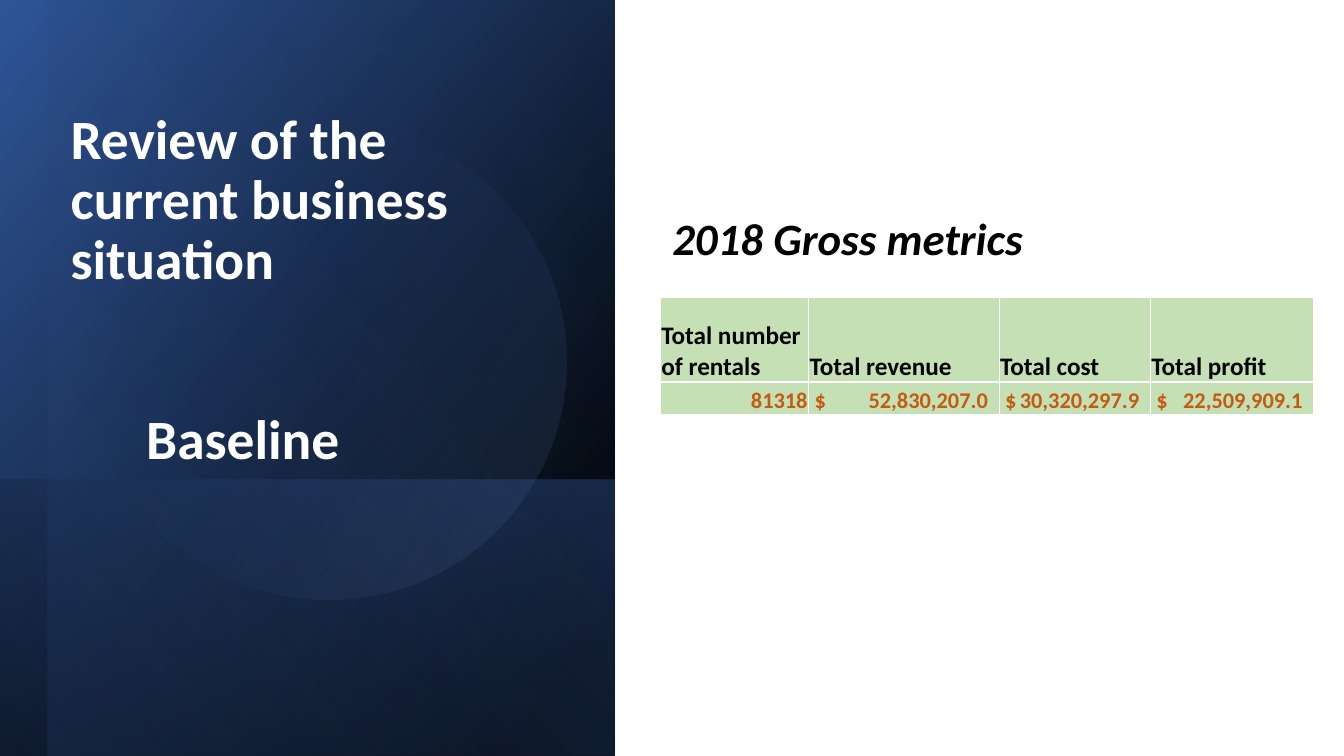
import pptx
import pptx.dml.color
import pptx.enum.shapes
import pptx.enum.text
import pptx.oxml
import pptx.oxml.ns
import pptx.util
from pptx.util import Inches

COLORS = {
    "black": "000000", "white": "FFFFFF", "navy": "2F5597", "blue": "4472C4",
    "pale_blue": "8FAADC", "green": "C5E0B4", "orange": "C55A11",
}
FONT = "Calibri"
NAMESPACE = pptx.oxml.ns.nsdecls("a")
SHAPES = pptx.enum.shapes.MSO_SHAPE
ANCHOR = pptx.enum.text.MSO_ANCHOR
ALIGN = pptx.enum.text.PP_ALIGN

# Left, top, width, height, rotation, shape, gradient angle, stops (position, colour, opacity)
PANEL_LAYERS = [
    (-0.7, 0.7, 7.5, 6.1, 90, SHAPES.RECTANGLE, 50, [(8, "black", 100), (100, "navy", 100)]),
    (1.67, 3.08, 2.74, 6.1, 90, SHAPES.RECTANGLE, 130, [(2, "blue", 29), (100, "black", 30)]),
    (-0.46, 0.93, 7.5, 5.63, 90, SHAPES.RECTANGLE, 130, [(0, "black", 0), (99, "blue", 11)]),
    (0.9, 1.23, 4.72, 4.72, 101.6, SHAPES.OVAL, 290, [(39, "blue", 0), (100, "pale_blue", 15)]),
]

# Heading, value, column width
METRICS = [
    ("Total number of rentals", "81318", 1.47),
    ("Total revenue", "$\t52,830,207.0", 1.89),
    ("Total cost", "$\t30,320,297.9", 1.5),
    ("Total profit", "$\t22,509,909.1", 1.62),
]
ROW_HEIGHTS = [0.84, 0.32]
CURRENCY_INSET = 0.06


def write_text(paragraph, text, size, color="black", bold=True, italic=False,
               align=ALIGN.LEFT, line_spacing=1.0, space_before=0):
    paragraph.alignment = align
    paragraph.line_spacing = line_spacing
    paragraph.space_before = pptx.util.Pt(space_before)
    run = paragraph.add_run()
    run.text = text
    run.font.name = FONT
    run.font.size = pptx.util.Pt(size)
    run.font.bold = bold
    run.font.italic = italic
    run.font.color.rgb = pptx.dml.color.RGBColor.from_string(COLORS[color])


def set_frame(frame, anchor, top=0.05, bottom=0.05):
    frame.word_wrap = True
    frame.auto_size = pptx.enum.text.MSO_AUTO_SIZE.NONE
    frame.vertical_anchor = anchor
    frame.margin_left = frame.margin_right = Inches(0.1)
    frame.margin_top, frame.margin_bottom = Inches(top), Inches(bottom)


def gradient_xml(angle, stops):
    stop_xml = "".join(
        f'<a:gs pos="{position * 1000}"><a:srgbClr val="{COLORS[color]}">'
        f'<a:alpha val="{opacity * 1000}"/></a:srgbClr></a:gs>'
        for position, color, opacity in stops)
    return (f'<a:gradFill {NAMESPACE} rotWithShape="1"><a:gsLst>{stop_xml}</a:gsLst>'
            f'<a:lin ang="{angle * 60000}" scaled="0"/></a:gradFill>')


def add_panel_layer(slide, left, top, width, height, rotation, kind, angle, stops):
    shape = slide.shapes.add_shape(
        kind, Inches(left), Inches(top), Inches(width), Inches(height))
    shape.shadow.inherit = False
    shape.line.fill.background()
    shape.rotation = rotation
    properties = shape._element.spPr
    if kind == SHAPES.RECTANGLE:
        properties.find(pptx.oxml.ns.qn("a:xfrm")).set("flipH", "1")
    geometry = properties.find(pptx.oxml.ns.qn("a:prstGeom"))
    geometry.addnext(pptx.oxml.parse_xml(gradient_xml(angle, stops)))


def add_title(slide):
    title = slide.shapes.title
    title.left, title.top = Inches(0.6), Inches(1.63)
    title.width, title.height = Inches(4.97), Inches(3.7)
    slide.shapes._spTree.append(title._element)  # in front of the panel
    frame = title.text_frame
    set_frame(frame, ANCHOR.BOTTOM, bottom=0.65)
    style = {"size": 39.6, "color": "white", "line_spacing": 0.9}
    write_text(frame.paragraphs[0], "Review of the current business situation", **style)
    baseline = frame.add_paragraph()
    write_text(baseline, "Baseline", space_before=86, **style)
    properties = baseline._p.get_or_add_pPr()
    properties.set("marL", str(Inches(0.75)))
    properties.set("indent", "0")


def add_subtitle(slide):
    box = slide.shapes.add_textbox(Inches(6.57), Inches(0.71), Inches(6.6), Inches(6.07))
    set_frame(box.text_frame, ANCHOR.TOP, top=1.44)
    write_text(box.text_frame.paragraphs[0], "2018 Gross metrics", 32,
               italic=True, line_spacing=0.9)


def format_cell(cell):
    cell.vertical_anchor = ANCHOR.BOTTOM
    cell.margin_left = cell.margin_right = cell.margin_top = Inches(0.01)
    cell.margin_bottom = 0
    cell.fill.solid()
    cell.fill.fore_color.rgb = pptx.dml.color.RGBColor.from_string(COLORS["green"])
    properties = cell._tc.get_or_add_tcPr()
    for index, side in enumerate(("lnL", "lnR", "lnT", "lnB")):
        properties.insert(index, pptx.oxml.parse_xml(
            f'<a:{side} {NAMESPACE} w="12700"><a:solidFill>'
            f'<a:srgbClr val="{COLORS["white"]}"/></a:solidFill></a:{side}>'))


def add_right_tab(paragraph, position):
    paragraph._p.get_or_add_pPr().append(pptx.oxml.parse_xml(
        f'<a:tabLst {NAMESPACE}><a:tab pos="{Inches(position)}" algn="r"/></a:tabLst>'))


def add_metrics_table(slide):
    total_width = sum(width for _, _, width in METRICS)
    table = slide.shapes.add_table(
        len(ROW_HEIGHTS), len(METRICS), Inches(6.55), Inches(2.95),
        Inches(total_width), Inches(sum(ROW_HEIGHTS))).table
    table.first_row = table.horz_banding = False
    for row, height in zip(table.rows, ROW_HEIGHTS):
        row.height = Inches(height)
    for column, (heading, value, width) in enumerate(METRICS):
        table.columns[column].width = Inches(width)
        heading_cell, value_cell = table.cell(0, column), table.cell(1, column)
        format_cell(heading_cell)
        format_cell(value_cell)
        write_text(heading_cell.text_frame.paragraphs[0], heading, 18)
        paragraph = value_cell.text_frame.paragraphs[0]
        is_currency = value.startswith("$")
        write_text(paragraph, value, 16, color="orange",
                   align=ALIGN.LEFT if is_currency else ALIGN.RIGHT)
        if is_currency:
            value_cell.margin_left = Inches(CURRENCY_INSET)
            add_right_tab(paragraph, width - CURRENCY_INSET - 0.11)


def main():
    presentation = pptx.Presentation()
    presentation.slide_width = Inches(13.33)
    presentation.slide_height = Inches(7.5)
    slide = presentation.slides.add_slide(presentation.slide_layouts[5])
    # Dark panel on the left
    for layer in PANEL_LAYERS:
        add_panel_layer(slide, *layer)
    add_title(slide)
    # Metrics on the right
    add_subtitle(slide)
    add_metrics_table(slide)
    presentation.save("out.pptx")


main()
